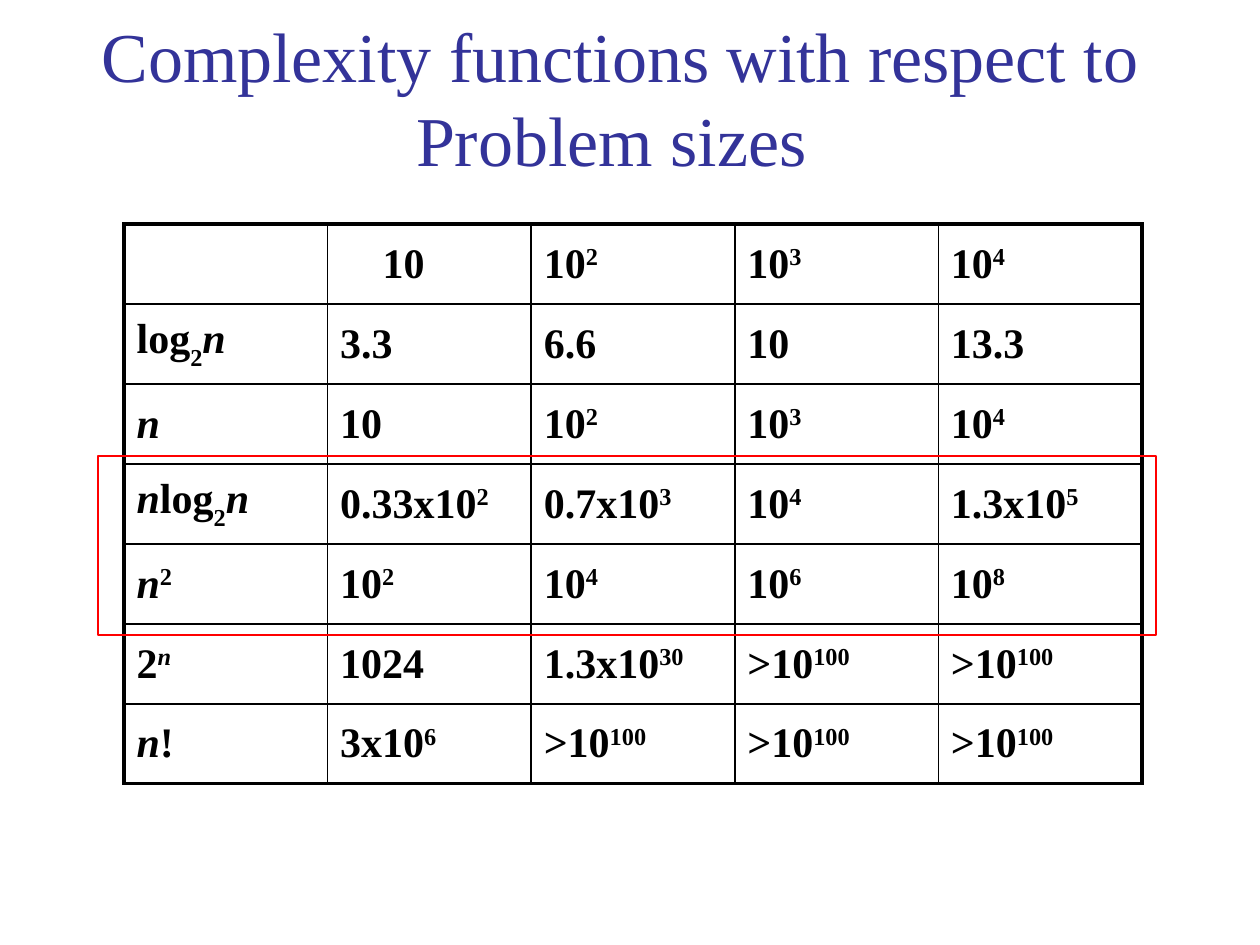
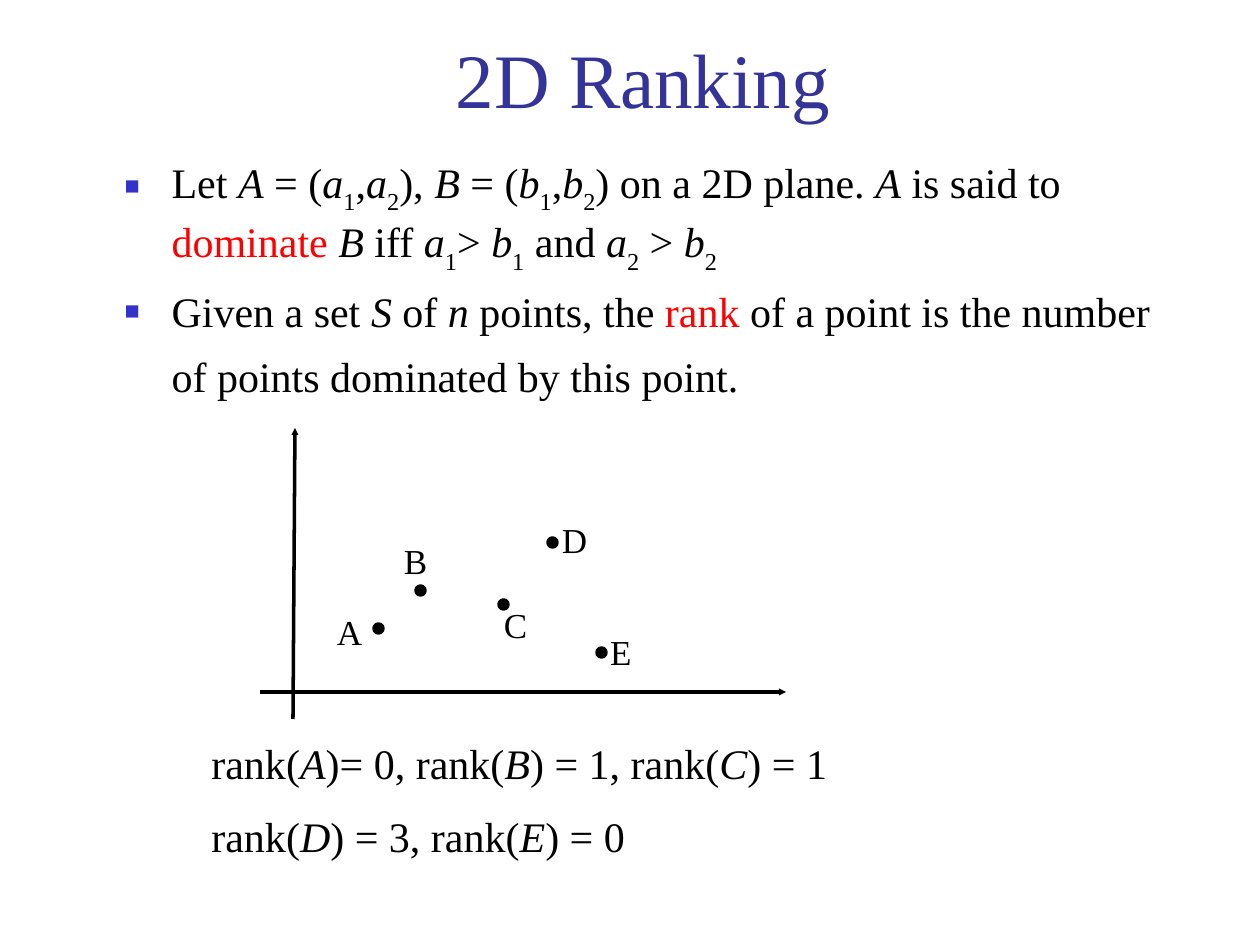
"""Build two slides: a table of complexity functions and the 2D ranking problem."""
from dataclasses import dataclass
from typing import Any, NamedTuple

from lxml import etree
from pptx import Presentation, util as u
from pptx.dml.color import RGBColor
from pptx.enum import shapes, text
from pptx.oxml import ns
from pptx.slide import Slide

EMU_PER_PX = 914400 / 126


@dataclass(frozen=True)
class Theme:
    """Colours, type sizes and line widths of the deck."""
    font: str = "Times New Roman"
    title: str = "333399"
    ink: str = "000000"
    paper: str = "FFFFFF"
    accent: str = "FF0000"
    bullet: str = "3333CC"
    long_title_size: int = 40
    title_size: int = 44
    body_size: int = 24
    tall_size: int = 32
    label_size: int = 20
    grid_line: float = 1
    frame_line: float = 2.25
    mark_line: float = 0.75
    plot_line: float = 2


THEME = Theme()


class Area(NamedTuple):
    """A rectangle in px."""
    left: int
    top: int
    width: int
    height: int


class Point(NamedTuple):
    """A plotted point: its letter, the corner of its dot and its label area."""
    name: str
    dot_left: int
    dot_top: int
    label: Area


class Axis(NamedTuple):
    """An arrow from start to end, in px."""
    start: tuple[int, int]
    end: tuple[int, int]


POINTS = (
    Point("B", 416, 586, Area(403, 539, 34, 48)),
    Point("A", 374, 624, Area(336, 610, 37, 53)),
    Point("C", 499, 600, Area(503, 602, 50, 44)),
    Point("D", 548, 538, Area(561, 517, 63, 45)),
    Point("E", 597, 648, Area(609, 630, 59, 49)),
)
DOT_SIZE = 9
AXES = (Axis((260, 692), (786, 692)), Axis((293, 719), (295, 428)))

GROWTH = (
    ("", "10", "10^2^", "10^3^", "10^4^"),
    ("log_2_*n*", "3.3", "6.6", "10", "13.3"),
    ("*n*", "10", "10^2^", "10^3^", "10^4^"),
    ("*n*log_2_*n*", "0.33x10^2^", "0.7x10^3^", "10^4^", "1.3x10^5^"),
    ("*n*^2^", "10^2^", "10^4^", "10^6^", "10^8^"),
    ("2^*n*^", "1024", "1.3x10^30^", ">10^100^", ">10^100^"),
    ("*n*!", "3x10^6^", ">10^100^", ">10^100^", ">10^100^"),
)
GROWTH_AREA = Area(124, 224, 1018, 560)
FIRST_HEAD_MARGIN = 55

DEFINITIONS = (
    "Let *A* = (*a*_1_,*a*_2_), *B* = (*b*_1_,*b*_2_) on a 2D plane. *A* is said to "
    "~dominate ~*B* iff *a*_1_> *b*_1_ and *a*_2_ > *b*_2_",
    "Given a set *S* of *n* points, the ~rank~ of a point is the number "
    "of points dominated by this point.+ +",
)
RANKS = (
    "rank(*A*)= 0, rank(*B*) = 1, rank(*C*) = 1",
    "rank(*D*) = 3, rank(*E*) = 0",
)


def px(length: int) -> u.Emu:
    """Turn px into EMU."""
    return u.Emu(round(length * EMU_PER_PX))


def assign(target: Any, values: dict[str, Any]) -> None:
    """Set each attribute named in values."""
    for name, value in values.items():
        setattr(target, name, value)


def place(shape: Any, area: Area) -> None:
    """Move and size a shape."""
    assign(shape, {side: px(length) for side, length in area._asdict().items()})


def element(parent: Any, tag: str, **attributes: str) -> Any:
    """Append an a: element with attributes."""
    return etree.SubElement(parent, ns.qn(f"a:{tag}"), attributes)


def write(para: Any, marked: str, size: int, color: str = THEME.ink, bold: bool = False) -> None:
    """Add spans; * is italic, _ lowers, ^ raises, ~ is accent colour and + is tall."""
    active: set[str] = set()
    pending = ""
    for letter in marked + "*":
        if letter not in "*_^~+":
            pending += letter
            continue
        if pending:
            span = para.add_run()
            span.text = pending
            assign(span.font, {
                "name": THEME.font,
                "size": u.Pt(THEME.tall_size if "+" in active else size),
                "bold": bold,
                "italic": "*" in active,
            })
            span.font.color.rgb = RGBColor.from_string(THEME.accent if "~" in active else color)
            for mark, shift in (("_", "-30000"), ("^", "30000")):
                if mark in active:
                    span._r.get_or_add_rPr().set("baseline", shift)
            pending = ""
        active ^= {letter}


def write_lines(frame: Any, lines: tuple[str, ...], gap: int, bulleted: bool = False) -> None:
    """Fill a text frame with one paragraph for each line."""
    for index, line in enumerate(lines):
        para = frame.add_paragraph() if index else frame.paragraphs[0]
        para.space_before = u.Pt(gap if index else 0)
        if bulleted:
            add_bullet(para)
        write(para, line, THEME.body_size)


def add_bullet(para: Any) -> None:
    """Give a paragraph a small square bullet and a hanging indent."""
    props = para._p.get_or_add_pPr()
    props.set("marL", str(px(47)))
    props.set("indent", str(px(-47)))
    element(element(props, "buClr"), "srgbClr", val=THEME.bullet)
    element(props, "buSzPct", val="60000")
    element(props, "buFont", typeface=THEME.font)
    element(props, "buChar", char="■")


def set_title(page: Slide, title: str, area: Area, size: int) -> None:
    """Place and fill the title placeholder."""
    box = page.shapes.title
    place(box, area)
    assign(box.text_frame, {
        "vertical_anchor": text.MSO_ANCHOR.BOTTOM,
        "auto_size": text.MSO_AUTO_SIZE.NONE,
        "word_wrap": True,
    })
    para = box.text_frame.paragraphs[0]
    para.alignment = text.PP_ALIGN.CENTER
    write(para, title, size, THEME.title)


def add_figure(page: Slide, kind: Any, area: Area, fill: str | None, line: str, width: float) -> Any:
    """Add a preset shape with its own fill and line."""
    shape = page.shapes.add_shape(kind, *map(px, area))
    shape.shadow.inherit = False
    if fill:
        shape.fill.solid()
        shape.fill.fore_color.rgb = RGBColor.from_string(fill)
    else:
        shape.fill.background()
    shape.line.color.rgb = RGBColor.from_string(line)
    shape.line.width = u.Pt(width)
    return shape


def add_axis(page: Slide, axis: Axis) -> None:
    """Draw an axis with a small arrowhead at its end."""
    arrow = page.shapes.add_connector(
        shapes.MSO_CONNECTOR.STRAIGHT, *map(px, axis.start + axis.end))
    arrow.line.color.rgb = RGBColor.from_string(THEME.ink)
    arrow.line.width = u.Pt(THEME.plot_line)
    element(arrow.line._get_or_add_ln(), "tailEnd", type="triangle", w="sm", len="sm")
    element(arrow._element.spPr, "effectLst")


def add_label(page: Slide, point: Point) -> None:
    """Write the letter of a point."""
    box = add_figure(page, shapes.MSO_SHAPE.RECTANGLE, point.label,
                     THEME.paper, THEME.paper, THEME.plot_line)
    margins = {f"margin_{side}": px(1) for side in ("left", "top", "right", "bottom")}
    assign(box.text_frame, margins | {
        "vertical_anchor": text.MSO_ANCHOR.TOP, "word_wrap": True})
    para = box.text_frame.paragraphs[0]
    para.alignment = text.PP_ALIGN.LEFT
    write(para, point.name, THEME.label_size)


def set_borders(cell: Any, outer: dict[str, bool]) -> None:
    """Draw cell borders, heavier on the outer sides."""
    props = cell._tc.get_or_add_tcPr()
    for index, (side, is_outer) in enumerate(outer.items()):
        width = u.Pt(THEME.frame_line if is_outer else THEME.grid_line)
        line = element(props, f"ln{side}", w=str(width))
        element(element(line, "solidFill"), "srgbClr", val=THEME.ink)
        props.insert(index, line)


def add_growth_table(page: Slide) -> None:
    """Add the table of function values."""
    last_row, last_column = len(GROWTH) - 1, len(GROWTH[0]) - 1
    table = page.shapes.add_table(last_row + 1, last_column + 1, *map(px, GROWTH_AREA)).table
    assign(table, {"first_row": False, "horz_banding": False})
    for row, values in enumerate(GROWTH):
        for column, value in enumerate(values):
            cell = table.cell(row, column)
            cell.fill.background()
            cell.vertical_anchor = text.MSO_ANCHOR.MIDDLE
            set_borders(cell, {"L": column == 0, "R": column == last_column,
                               "T": row == 0, "B": row == last_row})
            write(cell.text_frame.paragraphs[0], value, THEME.body_size, bold=True)
    table.cell(0, 1).margin_left = px(FIRST_HEAD_MARGIN)


def build_complexity(page: Slide) -> None:
    """Build the slide that compares complexity functions."""
    set_title(page, "Complexity functions with respect to Problem sizes ",
              Area(83, 29, 1074, 158), THEME.long_title_size)
    add_growth_table(page)
    add_figure(page, shapes.MSO_SHAPE.RECTANGLE, Area(98, 456, 1058, 179),
               None, THEME.accent, THEME.mark_line)


def build_ranking(page: Slide) -> None:
    """Build the slide that defines ranks of points in the plane."""
    set_title(page, "2D Ranking", Area(106, 25, 1074, 105), THEME.title_size)
    body = page.placeholders[1]
    place(body, Area(112, 150, 1071, 567))
    body.text_frame.auto_size = text.MSO_AUTO_SIZE.NONE
    write_lines(body.text_frame, DEFINITIONS, 6, bulleted=True)
    for point in POINTS:
        add_label(page, point)
    for axis in AXES:
        add_axis(page, axis)
    for point in POINTS:
        add_figure(page, shapes.MSO_SHAPE.OVAL,
                   Area(point.dot_left, point.dot_top, DOT_SIZE, DOT_SIZE),
                   THEME.ink, THEME.ink, THEME.plot_line)
    ranks = page.shapes.add_textbox(*map(px, Area(199, 731, 788, 214)))
    assign(ranks.text_frame, {
        "word_wrap": True, "auto_size": text.MSO_AUTO_SIZE.SHAPE_TO_FIT_TEXT})
    write_lines(ranks.text_frame, RANKS, 13)


def main() -> None:
    """Build and save the deck."""
    deck = Presentation()
    assign(deck, {"slide_width": px(1260), "slide_height": px(945)})
    for layout, build in ((5, build_complexity), (1, build_ranking)):
        build(deck.slides.add_slide(deck.slide_layouts[layout]))
    deck.save("out.pptx")


if __name__ == "__main__":
    main()
